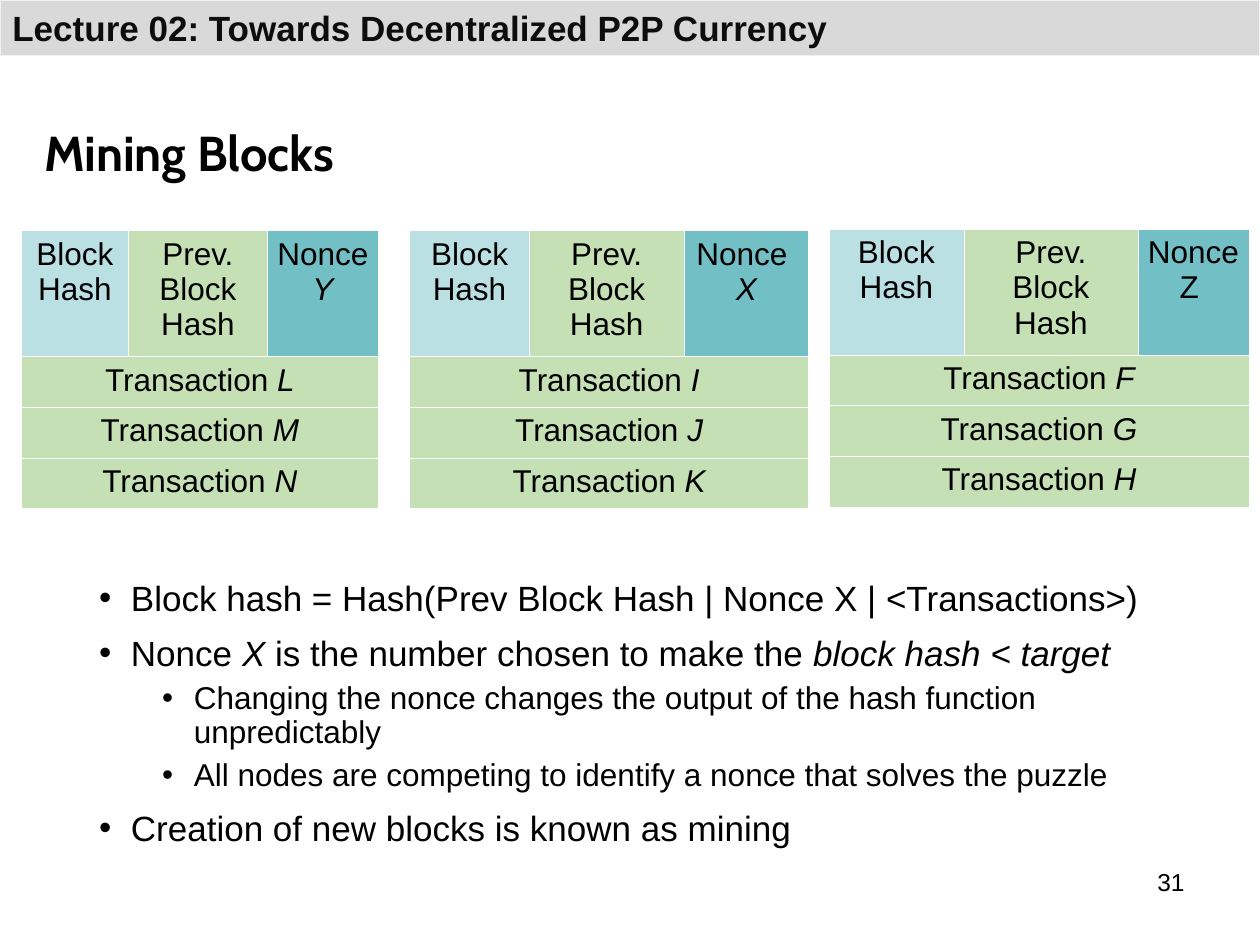
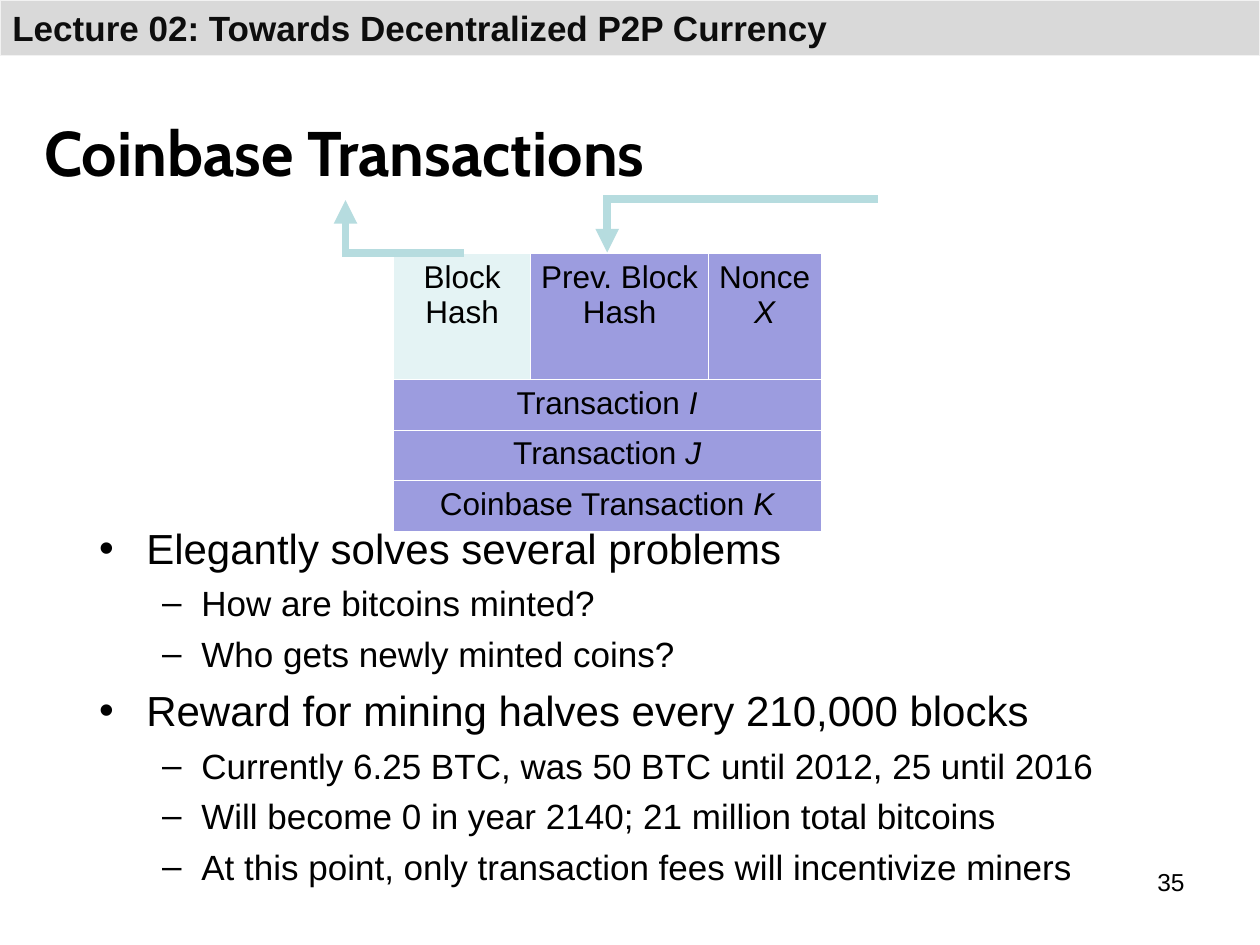
from dataclasses import dataclass

import lxml.etree
import pptx
import pptx.dml.color
import pptx.enum.shapes
import pptx.enum.text
import pptx.oxml.ns
import pptx.util

Cm = pptx.util.Cm
Pt = pptx.util.Pt
RGBColor = pptx.dml.color.RGBColor
qn = pptx.oxml.ns.qn
ALIGN = pptx.enum.text.PP_ALIGN
ANCHOR = pptx.enum.text.MSO_ANCHOR

BLACK = RGBColor(0x00, 0x00, 0x00)
WHITE = RGBColor(0xFF, 0xFF, 0xFF)
BAND_FILL = RGBColor(0xD9, 0xD9, 0xD9)
BAND_LINE = RGBColor(0xF2, 0xF2, 0xF2)
BAND_TEXT = RGBColor(0x0D, 0x0D, 0x0D)
PALE_BLUE = RGBColor(0xBB, 0xE0, 0xE3)
GREEN = RGBColor(0xC5, 0xE0, 0xB4)
TEAL = RGBColor(0x72, 0xBF, 0xC5)
ICE = RGBColor(0xE4, 0xF3, 0xF4)
VIOLET = RGBColor(0x9C, 0x9C, 0xDF)
ARROW_BLUE = RGBColor(0xB6, 0xDC, 0xDF)

BODY_FONT = "Arial"
TITLE_FONT = "Cabin"
SLIDE_WIDTH = 25.4
LECTURE = "Lecture 02: Towards Decentralized P2P Currency"
HEADER_HEIGHT = 2.54
TRANSACTION_HEIGHT = 1.02


@dataclass
class Area:
    left: float
    top: float
    width: float
    height: float

    def lengths(self) -> tuple:
        return Cm(self.left), Cm(self.top), Cm(self.width), Cm(self.height)


@dataclass
class Block:
    left: float
    top: float
    columns: tuple[float, float, float]
    nonce: str
    transactions: tuple[str, str, str]
    header_fills: tuple[RGBColor, RGBColor, RGBColor] = (PALE_BLUE, GREEN, TEAL)
    transaction_fill: RGBColor = GREEN


@dataclass
class BulletStyle:
    level: int
    symbol: str
    indent: float
    hanging: float
    size: int
    space: int
    line_spacing: float


@dataclass
class ElbowArrow:
    area: Area
    rotation: int
    preset: str
    bend: int | None = None


MINING_MAIN = BulletStyle(0, "•", 0.64, 0.64, 20, 10, 0.9)
MINING_SUB = BulletStyle(1, "•", 1.91, 0.64, 18, 5, 0.9)
COINBASE_MAIN = BulletStyle(0, "•", 0.95, 0.95, 24, 6, 1.0)
COINBASE_SUB = BulletStyle(1, "–", 2.06, 0.79, 20, 5, 1.0)

BAND_AREA = Area(0, 0, SLIDE_WIDTH, 1.12)
TITLE_AREA = Area(0.64, 2.11, 22.86, 1.9)
NUMBER_AREA = Area(18.21, 17.35, 5.92, 1.32)

MINED_BLOCKS = (
    Block(8.26, 4.65, (2.41, 3.12, 2.51), "Nonce \n*X*",
          ("Transaction *I*", "Transaction *J*", "Transaction *K*")),
    Block(16.71, 4.62, (2.72, 3.51, 2.24), "Nonce\nZ ",
          ("Transaction *F*", "Transaction *G*", "Transaction *H*")),
    Block(0.43, 4.65, (2.16, 2.8, 2.24), "Nonce \n*Y*",
          ("Transaction *L*", "Transaction *M*", "Transaction *N*")),
)
COINBASE_BLOCK = Block(
    7.93, 5.11, (2.77, 3.58, 2.27), "Nonce *X*",
    ("Transaction *I*", "Transaction *J*", "Coinbase Transaction *K*"),
    (ICE, VIOLET, VIOLET), VIOLET,
)
CHAIN_ARROWS = (
    ElbowArrow(Area(7.62, 3.38, 1.07, 2.38), 270, "bentConnector3", 0),
    ElbowArrow(Area(12.24, 4.01, 5.45, 1.08), 180, "bentConnector2"),
)

MINING_POINTS = (
    (MINING_MAIN, "Block hash = Hash(Prev Block Hash | Nonce X | <Transactions>)"),
    (MINING_MAIN, "Nonce *X* is the number chosen to make the *block hash < target*"),
    (MINING_SUB, "Changing the nonce changes the output of the hash function unpredictably"),
    (MINING_SUB, "All nodes are competing to identify a nonce that solves the puzzle"),
    (MINING_MAIN, "Creation of new blocks is known as mining"),
)
COINBASE_POINTS = (
    (COINBASE_MAIN, "Elegantly solves several problems"),
    (COINBASE_SUB, "How are bitcoins minted?"),
    (COINBASE_SUB, "Who gets newly minted coins?"),
    (COINBASE_MAIN, "Reward for mining halves every 210,000 blocks"),
    (COINBASE_SUB, "Currently 6.25 BTC, was 50 BTC until 2012, 25 until 2016"),
    (COINBASE_SUB, "Will become 0 in year 2140; 21 million total bitcoins"),
    (COINBASE_SUB, "At this point, only transaction fees will incentivize miners"),
)


def write_spans(para, marked: str, size: int, color: RGBColor = BLACK,
                font: str = BODY_FONT, bold: bool = False) -> None:
    for position, piece in enumerate(marked.split("*")):
        if piece:
            span = para.add_run()
            span.text = piece
            span.font.name = font
            span.font.size = Pt(size)
            span.font.bold = bold
            span.font.italic = position % 2 == 1
            span.font.color.rgb = color


def add_text_box(page, area: Area, anchor=ANCHOR.TOP):
    frame = page.shapes.add_textbox(*area.lengths()).text_frame
    frame.word_wrap = True
    frame.vertical_anchor = anchor
    return frame


def add_page(deck, title: str, title_size: int):
    page = deck.slides.add_slide(deck.slide_layouts[6])
    band = page.shapes.add_shape(
        pptx.enum.shapes.MSO_SHAPE.RECTANGLE, *BAND_AREA.lengths())
    band.shadow.inherit = False
    band.fill.solid()
    band.fill.fore_color.rgb = BAND_FILL
    band.line.color.rgb = BAND_LINE
    band.line.width = Pt(0.75)
    band.text_frame.vertical_anchor = ANCHOR.MIDDLE
    para = band.text_frame.paragraphs[0]
    para.alignment = ALIGN.LEFT
    write_spans(para, LECTURE, 20, BAND_TEXT, bold=True)
    frame = add_text_box(page, TITLE_AREA, ANCHOR.MIDDLE)
    write_spans(frame.paragraphs[0], title, title_size, font=TITLE_FONT, bold=True)
    return page


def add_page_number(page, number: int) -> None:
    para = add_text_box(page, NUMBER_AREA).paragraphs[0]
    para.alignment = ALIGN.RIGHT
    write_spans(para, str(number), 14)


def add_bullets(page, area: Area, points: tuple, anchor=ANCHOR.TOP) -> None:
    frame = add_text_box(page, area, anchor)
    for position, (style, marked) in enumerate(points):
        para = frame.add_paragraph() if position else frame.paragraphs[0]
        para.level = style.level
        para.line_spacing = style.line_spacing
        para.space_before = Pt(style.space if position else 0)
        properties = para._p.get_or_add_pPr()
        properties.set("marL", str(Cm(style.indent)))
        properties.set("indent", str(-Cm(style.hanging)))
        lxml.etree.SubElement(properties, qn("a:buFont"), typeface=BODY_FONT)
        lxml.etree.SubElement(properties, qn("a:buChar"), char=style.symbol)
        write_spans(para, marked, style.size)


def add_borders(cell) -> None:
    properties = cell._tc.get_or_add_tcPr()
    for position, side in enumerate(("lnL", "lnR", "lnT", "lnB")):
        border = lxml.etree.Element(qn(f"a:{side}"), w=str(Pt(0.45)))
        fill = lxml.etree.SubElement(border, qn("a:solidFill"))
        lxml.etree.SubElement(fill, qn("a:srgbClr"), val=str(WHITE))
        properties.insert(position, border)


def fill_cell(cell, marked: str, color: RGBColor) -> None:
    cell.margin_left = cell.margin_right = Cm(0.19)
    cell.margin_top = cell.margin_bottom = Cm(0.12)
    cell.fill.solid()
    cell.fill.fore_color.rgb = color
    for position, line in enumerate(marked.split("\n")):
        frame = cell.text_frame
        para = frame.add_paragraph() if position else frame.paragraphs[0]
        para.alignment = ALIGN.CENTER
        write_spans(para, line, 18)


def add_block(page, block: Block) -> None:
    row_heights = [HEADER_HEIGHT] + [TRANSACTION_HEIGHT] * len(block.transactions)
    area = Area(block.left, block.top, sum(block.columns), sum(row_heights))
    table = page.shapes.add_table(
        len(row_heights), len(block.columns), *area.lengths()).table
    table.first_row = False
    table.horz_banding = False
    for column, width in zip(table.columns, block.columns):
        column.width = Cm(width)
    for row, height in zip(table.rows, row_heights):
        row.height = Cm(height)
    headings = ("Block Hash", "Prev. Block Hash", block.nonce)
    for index, (heading, color) in enumerate(zip(headings, block.header_fills)):
        fill_cell(table.cell(0, index), heading, color)
    for index, transaction in enumerate(block.transactions, start=1):
        first = table.cell(index, 0)
        first.merge(table.cell(index, len(block.columns) - 1))
        fill_cell(first, transaction, block.transaction_fill)
    for cell in table.iter_cells():
        add_borders(cell)


def add_elbow_arrow(page, arrow: ElbowArrow) -> None:
    left, top, width, height = arrow.area.lengths()
    connector = page.shapes.add_connector(
        pptx.enum.shapes.MSO_CONNECTOR.ELBOW,
        left, top + height, left + width, top)
    connector.line.color.rgb = ARROW_BLUE
    connector.line.width = Pt(4.5)
    outline = connector.line._get_or_add_ln()
    lxml.etree.SubElement(outline, qn("a:miter"), lim="800000")
    lxml.etree.SubElement(outline, qn("a:tailEnd"), type="triangle")
    properties = connector._element.spPr
    properties.find(qn("a:xfrm")).set("rot", str(arrow.rotation * 60000))
    geometry = properties.find(qn("a:prstGeom"))
    geometry.set("prst", arrow.preset)
    if arrow.bend is not None:
        lxml.etree.SubElement(geometry.find(qn("a:avLst")), qn("a:gd"),
                              name="adj1", fmla=f"val {arrow.bend}")
    lxml.etree.SubElement(properties, qn("a:effectLst"))


def build_mining_page(deck) -> None:
    page = add_page(deck, "Mining Blocks", 28)
    for block in MINED_BLOCKS:
        add_block(page, block)
    add_bullets(page, Area(1.75, 10.08, 21.92, 8.66), MINING_POINTS, ANCHOR.MIDDLE)
    add_page_number(page, 31)


def build_coinbase_page(deck) -> None:
    page = add_page(deck, "Coinbase Transactions", 36)
    add_bullets(page, Area(1.75, 10.41, 21.92, 9.27), COINBASE_POINTS)
    add_block(page, COINBASE_BLOCK)
    for arrow in CHAIN_ARROWS:
        add_elbow_arrow(page, arrow)
    add_page_number(page, 35)


def main() -> None:
    deck = pptx.Presentation()
    deck.slide_width = Cm(SLIDE_WIDTH)
    deck.slide_height = Cm(19.05)
    build_mining_page(deck)
    build_coinbase_page(deck)
    deck.save("out.pptx")


if __name__ == "__main__":
    main()
